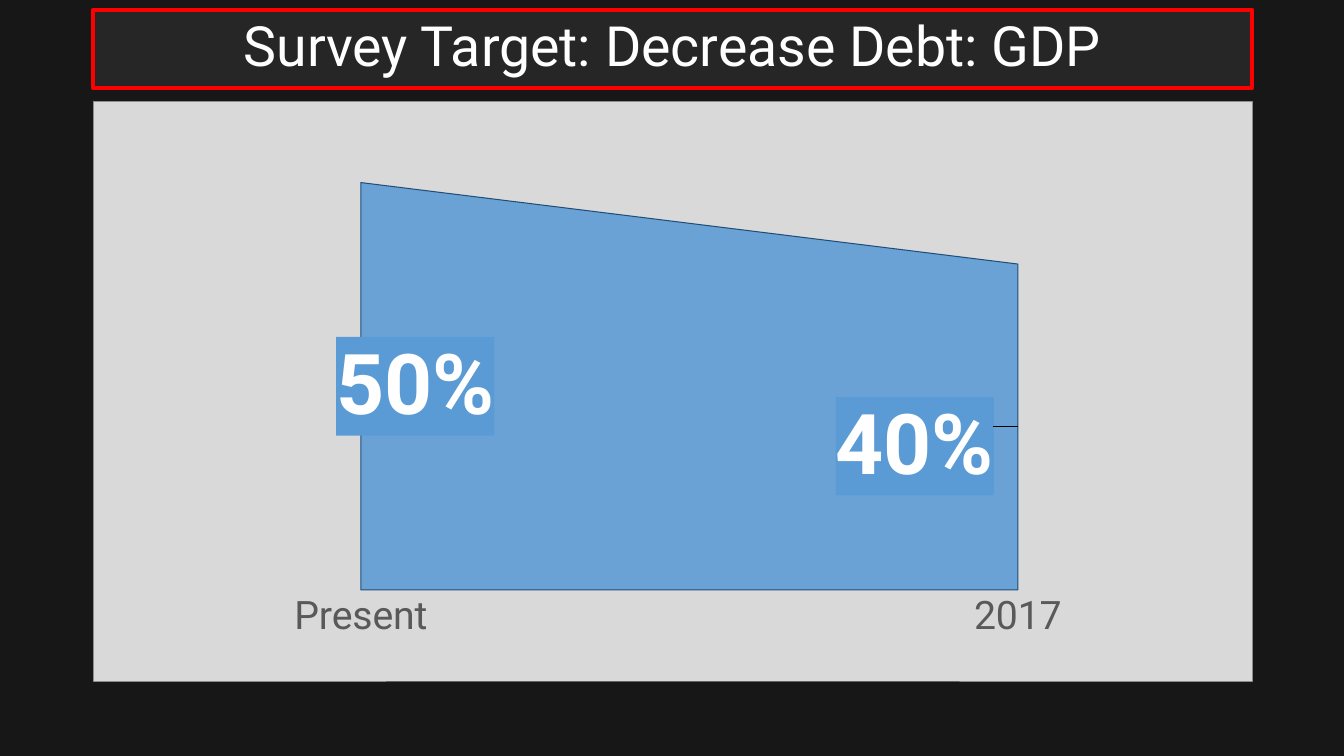
from lxml.etree import SubElement
from pptx import Presentation
from pptx.chart.data import CategoryChartData
from pptx.dml.color import RGBColor
from pptx.enum.chart import XL_CHART_TYPE, XL_TICK_LABEL_POSITION, XL_TICK_MARK
from pptx.enum.text import MSO_ANCHOR, MSO_AUTO_SIZE, PP_ALIGN
from pptx.oxml import parse_xml
from pptx.oxml.ns import nsdecls, qn
from pptx.util import Inches, Pt

COLORS = {
    "background": "181717", "title_fill": "262626", "title_line": "FF0000",
    "white": "FFFFFF", "panel": "D9D9D9", "panel_line": "8C8C8C",
    "area": "5B9BD5", "area_line": "1F4E79", "axis_text": "595959",
    "black": "000000",
}
FONT = "Roboto"
LEFT, WIDTH = 0.92, 11.5
DEBT = {"Present": 0.5, "2017": 0.4}
LABEL_SHIFTS = [(0.047, 0), (-0.089, 0.033)]  # shares of the chart's size


def rgb(name):
    return RGBColor.from_string(COLORS[name])


def paint(fmt, fill, line, width):
    fmt.fill.solid()
    fmt.fill.fore_color.rgb = rgb(fill)
    fmt.line.color.rgb = rgb(line)
    fmt.line.width = Pt(width)


def style_font(font, size, color, name=FONT, bold=False):
    font.size, font.name, font.bold = Pt(size), name, bold
    font.color.rgb = rgb(color)


def manual_layout(**values):
    items = "".join(f'<c:{tag} val="{val}"/>' for tag, val in values.items())
    return parse_xml(f'<c:layout {nsdecls("c")}><c:manualLayout>{items}'
                     '</c:manualLayout></c:layout>')


def solid_sppr(color):
    return parse_xml(f'<c:spPr {nsdecls("c", "a")}><a:solidFill>'
                     f'<a:srgbClr val="{COLORS[color]}"/></a:solidFill></c:spPr>')


def add_title(slide, text):
    sp = slide.shapes.title
    sp.left, sp.top = Inches(LEFT), Inches(0.1)
    sp.width, sp.height = Inches(WIDTH), Inches(0.77)
    sp._element.spPr.append(parse_xml(
        f'<a:prstGeom {nsdecls("a")} prst="roundRect"><a:avLst/></a:prstGeom>'))
    sp.adjustments[0] = 0
    paint(sp, "title_fill", "title_line", 3)
    tf = sp.text_frame
    tf.text = text
    tf.auto_size = MSO_AUTO_SIZE.NONE
    tf.vertical_anchor = MSO_ANCHOR.MIDDLE
    p = tf.paragraphs[0]
    p.alignment = PP_ALIGN.CENTER
    p.line_spacing = 0.9
    style_font(p.font, 39.6, "white")


def paint_chart_space(chart):
    sppr = solid_sppr("panel")
    line = SubElement(sppr, qn("a:ln"), w=str(Pt(0.5)))
    fill = SubElement(line, qn("a:solidFill"))
    SubElement(fill, qn("a:srgbClr"), val=COLORS["panel_line"])
    chart._chartSpace.chart.addnext(sppr)


def style_axes(chart):
    cat, val = chart.category_axis, chart.value_axis
    cat.major_tick_mark = cat.minor_tick_mark = XL_TICK_MARK.NONE
    cat.tick_label_position = XL_TICK_LABEL_POSITION.NEXT_TO_AXIS
    cat.has_major_gridlines = val.has_major_gridlines = False
    cat.format.line.fill.background()
    style_font(cat.tick_labels.font, 28, "axis_text")
    val.minimum_scale, val.maximum_scale = 0, 0.6
    val.tick_labels.number_format = "0%"
    val.tick_labels.number_format_is_linked = False
    val.visible = False
    for cross in val._element.findall(qn("c:crossBetween")):
        cross.set("val", "midCat")


def style_labels(series):
    labels = series.data_labels
    labels.show_value = True
    labels.number_format, labels.number_format_is_linked = "0%", False
    style_font(labels.font, 60, "white", bold=True)
    labels._element.find(qn("c:txPr")).addprevious(solid_sppr("area"))
    for i, (dx, dy) in enumerate(LABEL_SHIFTS):
        style_font(series.points[i].data_label.font, 60, "white", bold=True)
        lbl = labels._element.findall(qn("c:dLbl"))[i]
        lbl.find(qn("c:idx")).addnext(manual_layout(x=dx, y=dy))
        for old in lbl.findall(qn("c:spPr")):
            lbl.remove(old)
        lbl.find(qn("c:txPr")).addprevious(solid_sppr("area"))


def add_debt_chart(slide):
    data = CategoryChartData(number_format="0%")
    data.categories = list(DEBT)
    data.add_series("Series 1", list(DEBT.values()))
    chart = slide.shapes.add_chart(
        XL_CHART_TYPE.AREA, Inches(LEFT), Inches(1), Inches(WIDTH),
        Inches(5.76), data).chart
    chart.has_legend = chart.has_title = False
    style_font(chart.font, 10, "black", "Calibri")
    paint_chart_space(chart)
    style_axes(chart)

    area = chart._chartSpace.chart.plotArea
    for old in area.findall(qn("c:layout")):
        area.remove(old)
    area.insert(0, manual_layout(layoutTarget="inner", xMode="edge",
                                 yMode="edge", x=0.231, y=0, w=0.567, h=0.843))
    plot = chart.plots[0]
    plot.vary_by_categories = False
    series = plot.series[0]
    paint(series.format, "area", "area_line", 0.75)
    color = series._element.spPr.find(qn("a:solidFill"))[0]
    SubElement(color, qn("a:alpha"), val="88000")
    style_labels(series)


def main():
    prs = Presentation()
    prs.slide_width, prs.slide_height = Inches(13.33), Inches(7.5)
    slide = prs.slides.add_slide(prs.slide_layouts[5])
    slide.background.fill.solid()
    slide.background.fill.fore_color.rgb = rgb("background")
    add_title(slide, "Survey Target: Decrease Debt: GDP")
    add_debt_chart(slide)
    prs.save("out.pptx")


if __name__ == "__main__":
    main()
